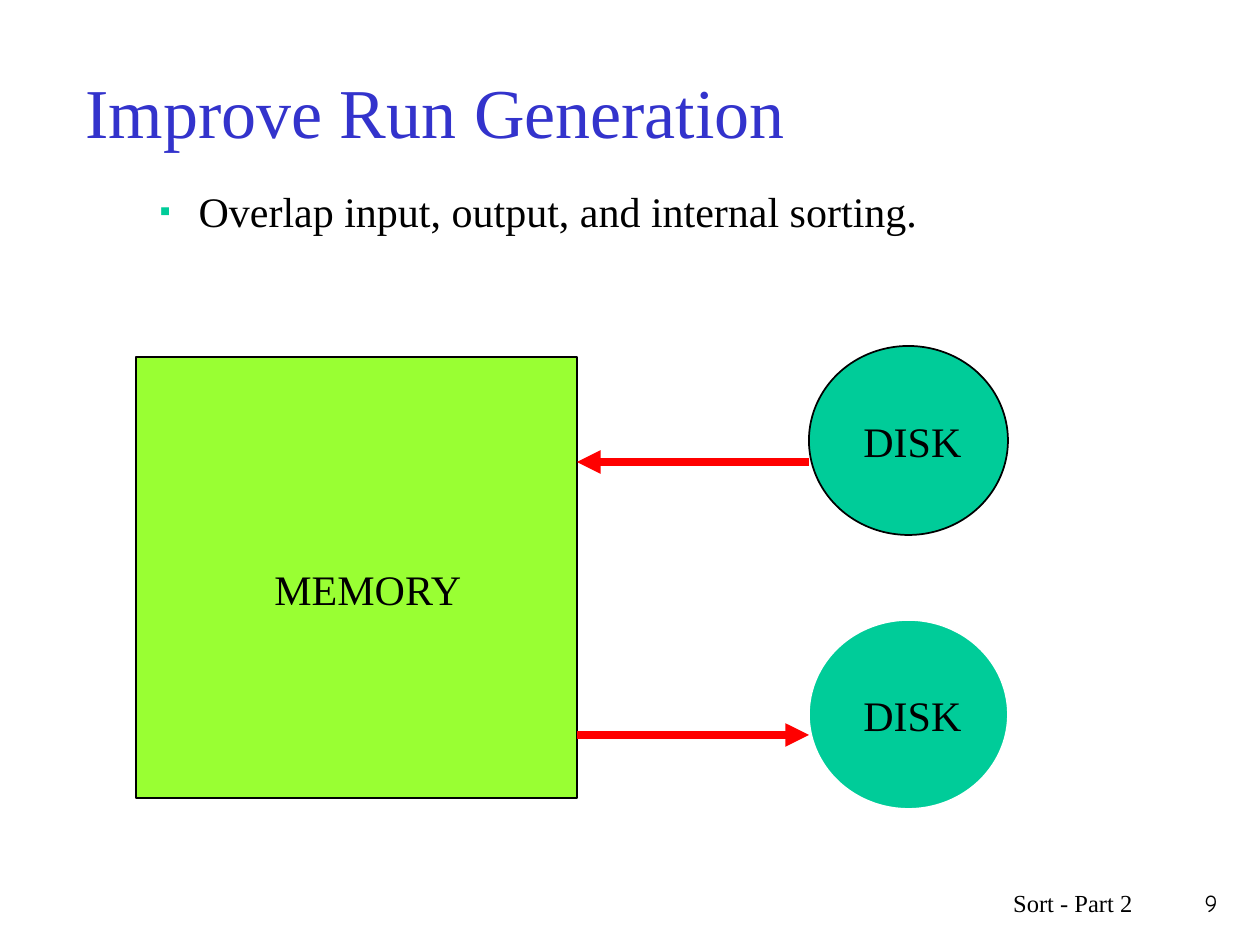
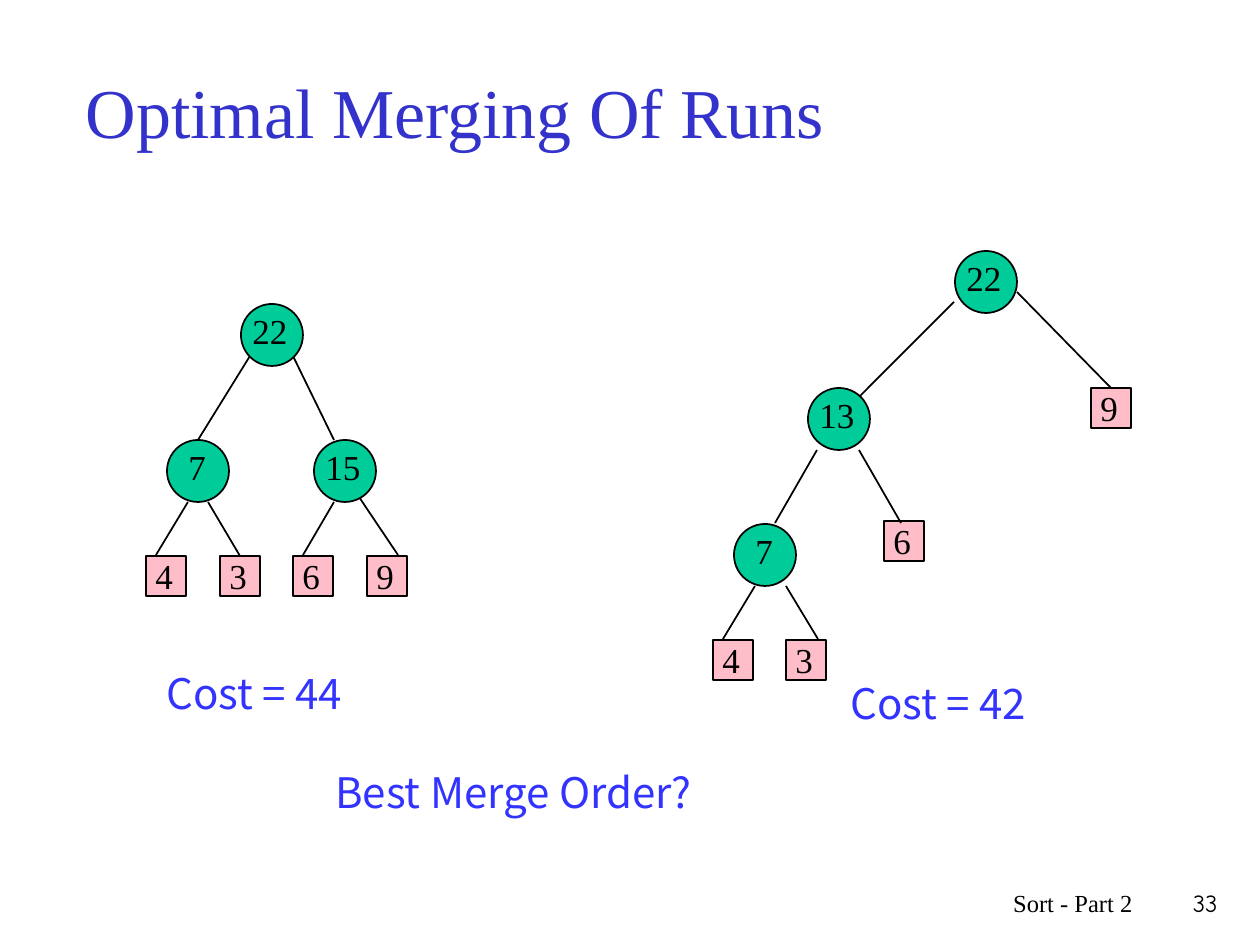
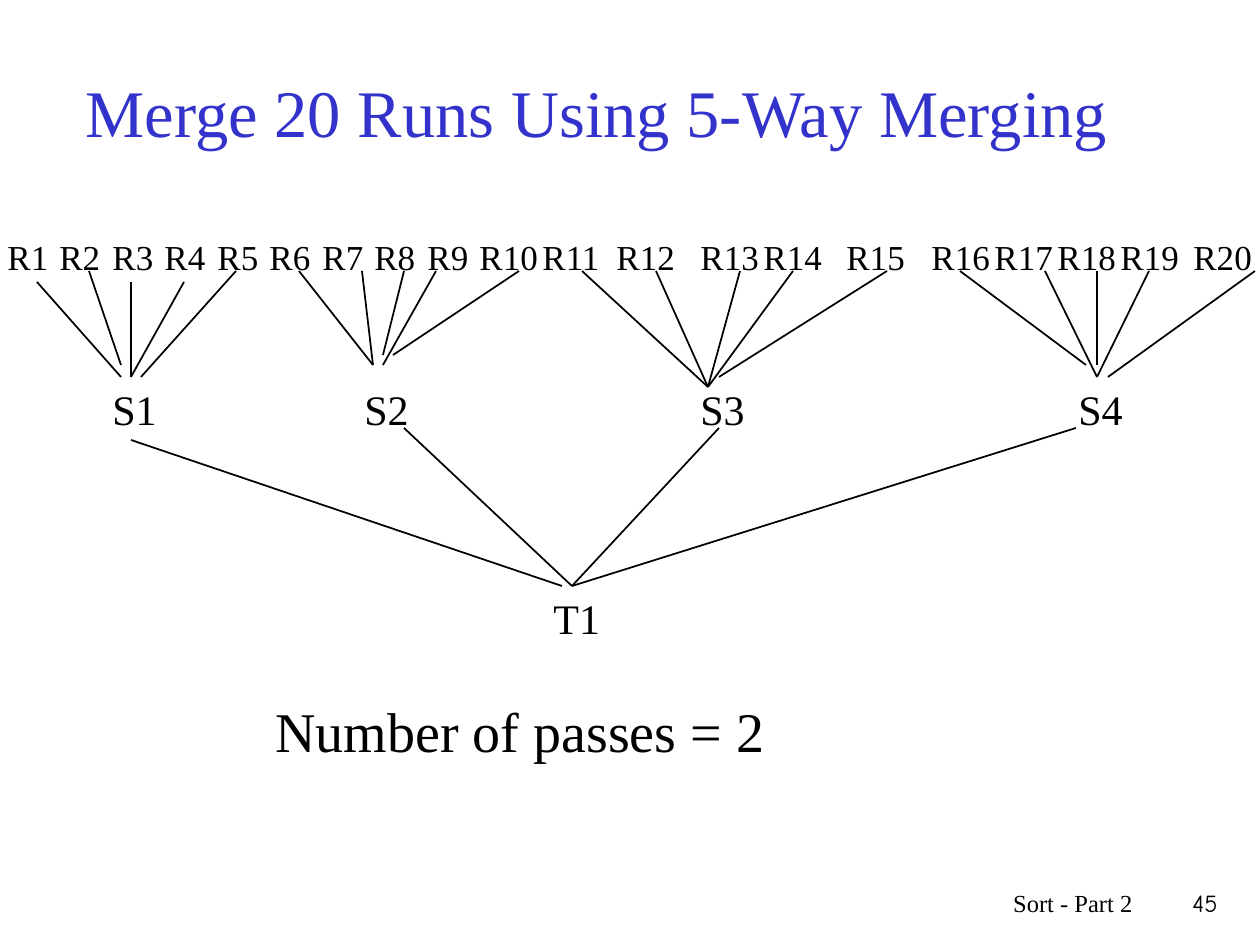
import pptx
import pptx.dml.color
import pptx.enum.shapes
import pptx.enum.text
import pptx.oxml
import pptx.oxml.ns
import pptx.util
import lxml.etree

SCALE = 914400 / 126
SERIF = "Times New Roman"
SANS = "Noto Sans CJK KR"
COMIC = "Comic Neue"
HUES = {
    "title": "3333CC",
    "note": "3333FF",
    "ink": "000000",
    "paper": "FFFFFF",
    "node": "00CC99",
    "leaf": "FFBDCA",
    "memory": "99FF33",
    "arrow": "FF0000",
}
RECT = pptx.enum.shapes.MSO_SHAPE.RECTANGLE
OVAL = pptx.enum.shapes.MSO_SHAPE.OVAL
ALIGN = pptx.enum.text.PP_ALIGN


def px(*vals):
    """Turn px lengths into a list of EMU lengths."""
    return [pptx.util.Emu(round(val * SCALE)) for val in vals]


def color(name):
    """Return the named colour."""
    return pptx.dml.color.RGBColor.from_string(HUES[name])


def add_tag(node, tag, **attrs):
    """Append a DrawingML element to a node."""
    return lxml.etree.SubElement(node, pptx.oxml.ns.qn(tag), attrs)


def add_run(para, text, size, hue="ink", font=SERIF):
    """Add one formatted run to a paragraph."""
    run = para.add_run()
    run.text = text
    run.font.size = pptx.util.Pt(size)
    run.font.name = font
    run.font.color.rgb = color(hue)


def place(shape, left, top, width, height):
    """Move and size a placeholder."""
    shape.left, shape.top, shape.width, shape.height = px(left, top, width, height)
    shape.text_frame.auto_size = pptx.enum.text.MSO_AUTO_SIZE.NONE


def add_text(slide, text, box, size, hue="ink", font=SERIF, align=ALIGN.LEFT, wrap=True):
    """Add a text box with a single line."""
    frame = slide.shapes.add_textbox(*px(*box)).text_frame
    frame.word_wrap = wrap
    para = frame.paragraphs[0]
    para.alignment = align
    add_run(para, text, size, hue, font)


def add_form(slide, kind, box, fill, line="ink"):
    """Add a filled and outlined preset shape."""
    form = slide.shapes.add_shape(kind, *px(*box))
    form.shadow.inherit = False
    form.fill.solid()
    form.fill.fore_color.rgb = color(fill)
    form.line.color.rgb = color(line)
    form.line.width = pptx.util.Pt(1)
    return form


def add_line(slide, ends, hue="ink", width=1, arrow=False):
    """Add a straight line, with an arrowhead at its end if asked."""
    kind = pptx.enum.shapes.MSO_CONNECTOR.STRAIGHT
    line = slide.shapes.add_connector(kind, *px(*ends))
    line.line.color.rgb = color(hue)
    line.line.width = pptx.util.Pt(width)
    if arrow:
        add_tag(line.line._get_or_add_ln(), "a:tailEnd", type="triangle")
    add_tag(line._element.spPr, "a:effectLst")
    return line


def add_slide(deck, layout, title, page, size=40):
    """Add a slide with its title and footer."""
    slide = deck.slides.add_slide(deck.slide_layouts[layout])
    head = slide.shapes.title
    place(head, 73, 32, 1071, 158)
    head.text_frame.vertical_anchor = pptx.enum.text.MSO_ANCHOR.MIDDLE
    para = head.text_frame.paragraphs[0]
    para.alignment = ALIGN.LEFT
    add_run(para, title, size, "title")
    add_text(slide, page, (1144, 882, 86, 63), 14, font=COMIC, align=ALIGN.RIGHT)
    add_text(slide, "Sort - Part 2", (746, 882, 399, 63), 14, align=ALIGN.RIGHT)
    return slide


def add_list(slide, items):
    """Fill the body placeholder with bulleted items."""
    body = slide.placeholders[1]
    place(body, 84, 179, 1071, 84)
    frame = body.text_frame
    for i, item in enumerate(items):
        para = frame.add_paragraph() if i else frame.paragraphs[0]
        para.level = 1
        add_run(para, item, 24)
        props = para._p.get_or_add_pPr()
        margin, indent = px(102, -39)
        props.set("marL", str(margin))
        props.set("indent", str(indent))
        add_tag(add_tag(props, "a:buClr"), "a:srgbClr", val=HUES["node"])
        add_tag(props, "a:buSzPct", val="75000")
        add_tag(props, "a:buChar", char="▪")


def add_disk(slide, top, line):
    """Add a labelled disk."""
    add_form(slide, OVAL, (809, top, 199, 189), "node", line)
    add_text(slide, "DISK", (851, top + 63, 168, 63), 24)


def add_leaf(slide, left, top, text):
    """Add a square leaf and its label."""
    leaf = add_form(slide, RECT, (left, top, 40, 40), "leaf")
    add_text(slide, text, (left - 3, top - 8, 43, 54), 20, wrap=False)
    return leaf


def add_node(slide, left, top, text):
    """Add a round inner node and its label."""
    add_form(slide, OVAL, (left, top, 62, 62), "node")
    shift, width = (9, 42) if len(text) == 1 else (-1, 73)
    add_text(slide, text, (left + shift, top - 1, width, 54), 20)


def add_tree(slide, leaves, edges, nodes):
    """Add a merge tree, joining edges that meet a leaf's top middle."""
    forms = [(left + 20, top, add_leaf(slide, left, top, text)) for left, top, text in leaves]
    for edge in edges:
        line = add_line(slide, edge)
        for mid, top, leaf in forms:
            if abs(edge[2] - mid) <= 1 and abs(edge[3] - top) <= 1:
                line.end_connect(leaf, 0)
    for node in nodes:
        add_node(slide, *node)


def build_runs(deck):
    """Build the slide on run generation."""
    slide = add_slide(deck, 1, "Improve Run Generation", "9")
    add_list(slide, ["Overlap input, output, and internal sorting."])
    add_form(slide, RECT, (136, 357, 441, 441), "memory")
    add_text(slide, "MEMORY", (262, 557, 221, 63), 24)
    add_disk(slide, 620, "paper")
    add_disk(slide, 346, "ink")
    for ends in [(577, 735, 809, 735), (809, 462, 577, 462)]:
        add_line(slide, ends, "arrow", 4.5, True)


def build_trees(deck):
    """Build the slide with two merge orders."""
    slide = add_slide(deck, 5, "Optimal Merging Of Runs", "33")
    add_tree(
        slide,
        [(146, 556, "4"), (220, 556, "3"), (293, 556, "6"), (367, 556, "9")],
        [(250, 356, 198, 440), (293, 356, 334, 440), (188, 502, 156, 555),
         (208, 502, 240, 555), (334, 502, 303, 555), (355, 491, 398, 555)],
        [(167, 440, "7"), (241, 304, "22"), (314, 440, "15")],
    )
    add_tree(
        slide,
        [(713, 640, "4"), (786, 640, "3"), (884, 521, "6"), (1091, 388, "9")],
        [(954, 302, 859, 397), (1017, 292, 1111, 387), (817, 450, 775, 523),
         (859, 450, 901, 523), (755, 586, 723, 639), (786, 586, 818, 639)],
        [(734, 524, "7"), (808, 388, "13"), (955, 251, "22")],
    )
    for text, box in [
        ("Cost = 44", (154, 661, 328, 63)),
        ("Cost = 42", (838, 671, 328, 63)),
        ("Best Merge Order?", (323, 760, 635, 63)),
    ]:
        add_text(slide, text, box, 24, "note", SANS)


def build_merge(deck):
    """Build the slide on five-way merging."""
    slide = add_slide(deck, 5, "Merge 20 Runs Using 5-Way Merging", "45", 38)
    lefts = [-5 + 105 * i // 2 for i in range(10)]
    lefts += [530, 604, 688, 751, 834, 919, 982, 1045, 1108, 1181]
    for i, left in enumerate(lefts, 1):
        add_text(slide, f"R{i}", (left, 229, 84, 54), 20)
    for i, left in enumerate([100, 352, 688, 1066], 1):
        add_text(slide, f"S{i}", (left, 377, 84, 63), 24)
    add_text(slide, "T1", (541, 586, 95, 63), 24)
    high, low = 271, 282
    for ends in [
        (37, low, 121, 377), (89, high, 121, 365), (131, low, 131, 377),
        (184, low, 131, 377), (236, high, 141, 377),
        (299, high, 373, 365), (362, high, 373, 365), (436, high, 383, 365),
        (404, high, 383, 355), (519, high, 393, 355),
        (582, high, 708, 387), (656, high, 708, 387), (740, high, 708, 387),
        (793, high, 708, 387), (887, high, 719, 377),
        (960, high, 1086, 365), (1045, high, 1097, 377), (1097, high, 1097, 365),
        (1149, high, 1097, 377), (1255, high, 1108, 377),
        (131, 440, 562, 586), (404, 428, 572, 586),
        (719, 428, 572, 586), (1076, 428, 572, 586),
    ]:
        add_line(slide, ends)
    add_text(slide, "Number of passes = 2", (263, 690, 829, 79), 32)


def main():
    """Build and save the deck."""
    deck = pptx.Presentation()
    deck.slide_width, deck.slide_height = px(1260, 945)
    build_runs(deck)
    build_trees(deck)
    build_merge(deck)
    deck.save("out.pptx")


if __name__ == "__main__":
    main()
